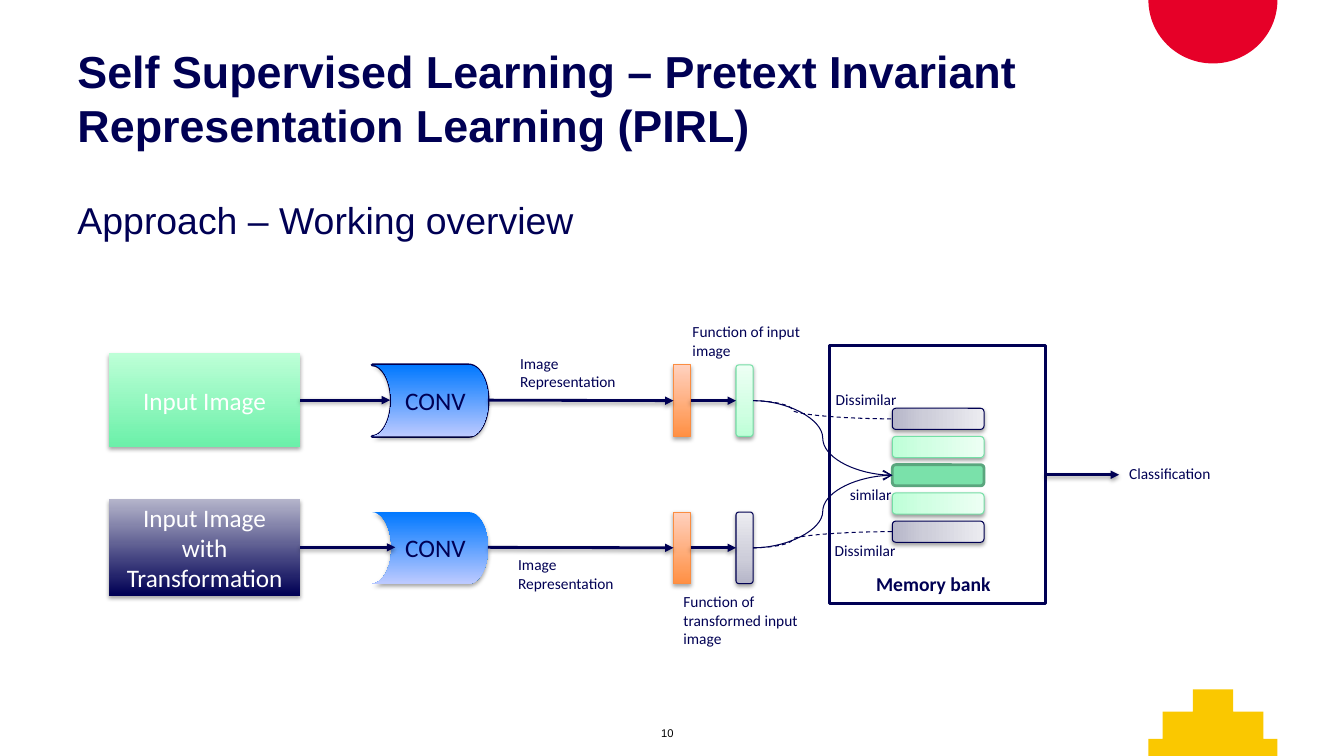
from copy import deepcopy
from math import cos, pi, sin

from pptx import Presentation
from pptx.dml.color import RGBColor
from pptx.enum.dml import MSO_LINE
from pptx.enum.shapes import MSO_CONNECTOR, MSO_SHAPE
from pptx.enum.text import MSO_ANCHOR, PP_ALIGN
from pptx.oxml.ns import qn
from pptx.oxml.xmlchemy import OxmlElement
from pptx.util import Inches, Pt

NAVY, WHITE, RED, YELLOW = "000054", "FFFFFF", "E60028", "FAC800"
BLUE_FADE = [(0, "0078FF"), (1, "BDCAFF")]
GREEN_FADE = [(0, "6BF0A9"), (1, "BDFFD7")]
NAVY_FADE = [(0, NAVY), (1, "B5B5CB")]
ORANGE_FADE = [(0, "FF9044"), (1, "FFD1BF")]
MINT_FADE = [(0, "BDFFD7"), (0.35, "D0FFE2"), (1, "EDFFF4")]
GREY_FADE = [(0, "B6B6C9"), (0.35, "CDCDD9"), (1, "ECECF1")]
MINT_EDGE, GREY_EDGE, ORANGE_EDGE = "75DFA6", "000052", "FB8D41"


def rgb(color):
    return RGBColor.from_string(color)


def child(parent, tag, **attributes):
    element = OxmlElement(tag)
    for key, value in attributes.items():
        element.set(key, str(value))
    parent.append(element)
    return element


def add_shadow(effects, alpha, dist):
    shadow = child(effects, "a:outerShdw", blurRad=Pt(3.1), dist=Pt(dist),
                   dir=90 * 60000, rotWithShape=0)
    color = child(shadow, "a:srgbClr", val="000000")
    child(color, "a:alpha", val=alpha * 1000)


class Diagram:
    def __init__(self, slide, font="Calibri", ink=NAVY):
        self.slide, self.font, self.ink = slide, font, ink

    def set_text(self, frame, text, size, color, bold=False, font=None, align=None):
        paragraph = frame.paragraphs[0]
        paragraph.text = text
        paragraph.alignment = align
        style = paragraph.font
        style.name, style.size, style.bold = font or self.font, Pt(size), bold
        style.color.rgb = rgb(color)

    def label(self, text, x, y, w, h, size=11, color=None, bold=False, font=None,
              anchor=MSO_ANCHOR.TOP, wrap=True):
        box = self.slide.shapes.add_textbox(Inches(x), Inches(y), Inches(w), Inches(h))
        box.text_frame.word_wrap = wrap
        box.text_frame.vertical_anchor = anchor
        self.set_text(box.text_frame, text, size, color or self.ink, bold, font)

    def block(self, kind, x, y, w, h, fill, edge=None, width=0.75, angle=90,
              shadow=None, text=None, rotation=0):
        """Preset shape; fill is a colour or a list of gradient stops,
        shadow is (opacity in percent, distance in points)."""
        shape = self.slide.shapes.add_shape(kind, Inches(x), Inches(y), Inches(w), Inches(h))
        shape.rotation = rotation
        if isinstance(fill, str):
            shape.fill.solid()
            shape.fill.fore_color.rgb = rgb(fill)
        else:
            self.fade(shape, fill, angle)
        if edge:
            shape.line.color.rgb = rgb(edge)
            shape.line.width = Pt(width)
        else:
            shape.line.fill.background()
        shape.shadow.inherit = False
        if shadow:
            add_shadow(shape._element.spPr.find(qn("a:effectLst")), *shadow)
        if text:
            shape.text_frame.vertical_anchor = MSO_ANCHOR.MIDDLE
            self.set_text(shape.text_frame, text, 18, WHITE, align=PP_ALIGN.CENTER)
        return shape

    def fade(self, shape, stops, angle):
        shape.fill.gradient()
        shape.fill.gradient_angle = angle
        stop_list = shape._element.spPr.find(".//" + qn("a:gsLst"))
        while len(stop_list) < len(stops):
            stop_list.append(deepcopy(stop_list[0]))
        for stop, (position, color) in zip(shape.fill.gradient_stops, stops):
            stop.position = position
            stop.color.rgb = rgb(color)

    def link(self, start, end, width=2, head="triangle", curve=None, dashed=False):
        """Connector between points or shapes (right side to left side);
        curve is the place of the bend as a share of the length."""
        ends = [(0, 0) if hasattr(e, "shape_id") else e for e in (start, end)]
        (x1, y1), (x2, y2) = ends
        kind = MSO_CONNECTOR.CURVE if curve else MSO_CONNECTOR.STRAIGHT
        line = self.slide.shapes.add_connector(
            kind, Inches(x1), Inches(y1), Inches(x2), Inches(y2))
        if hasattr(start, "shape_id"):
            line.begin_connect(start, 3)
        if hasattr(end, "shape_id"):
            line.end_connect(end, 1)
        line.line.color.rgb = rgb(self.ink)
        line.line.width = Pt(width)
        if dashed:
            line.line.dash_style = MSO_LINE.DASH
        properties = line._element.spPr
        if head:
            child(properties.find(qn("a:ln")), "a:tailEnd", type=head)
        effects = child(properties, "a:effectLst")
        if curve:
            bends = properties.find(qn("a:prstGeom")).find(qn("a:avLst"))
            child(bends, "a:gd", name="adj1", fmla=f"val {round(curve * 100000)}")
        else:
            add_shadow(effects, 38, 1.6)

    def outline(self, points, color):
        corners = [(Inches(x), Inches(y)) for x, y in points]
        builder = self.slide.shapes.build_freeform(*corners[0])
        builder.add_line_segments(corners[1:], close=True)
        shape = builder.convert_to_shape()
        shape.fill.solid()
        shape.fill.fore_color.rgb = rgb(color)
        shape.line.fill.background()
        shape.shadow.inherit = False


def main():
    deck = Presentation()
    deck.slide_width, deck.slide_height = Inches(13.33), Inches(7.5)
    d = Diagram(deck.slides.add_slide(deck.slide_layouts[6]))

    # Corner decorations, both centred on the same vertical axis
    axis = 12.03
    d.outline([(axis + 0.64 * cos(pi * i / 60), 0.63 * sin(pi * i / 60))
               for i in range(61)], RED)
    right_steps = [(0.2, 6.84), (0.2, 7.06), (0.5, 7.06), (0.5, 7.33),
                   (0.64, 7.33), (0.64, 7.5)]
    d.outline([(axis + x, y) for x, y in right_steps]
              + [(axis - x, y) for x, y in reversed(right_steps)], YELLOW)

    d.label("10", 6.46, 7.16, 0.34, 0.24, 8, "000000", font="Arial", wrap=False)
    d.label("Self Supervised Learning – Pretext Invariant Representation Learning (PIRL)",
            0.67, 0.16, 10.59, 1.62, 32, bold=True, font="Arial", anchor=MSO_ANCHOR.MIDDLE)
    d.label("Approach – Working overview", 0.67, 1.91, 10.59, 0.84, 26.7, font="Arial")

    # Memory bank
    bank_middle = 4.71
    bank = d.block(MSO_SHAPE.RECTANGLE, 8.23, bank_middle - 1.28, 2.14, 2.56, WHITE, NAVY, 2)
    soft, thin = (35, 1.8), (38, 1.6)
    grey = (GREY_FADE, GREY_EDGE, 0.75, thin)
    mint = (MINT_FADE, MINT_EDGE, 0.75, thin)
    match = ("7AE1AA", "5AA67E", 2, None)
    entries = [
        d.block(MSO_SHAPE.ROUNDED_RECTANGLE, 8.85, bank_middle - 0.1 + (i - 2) * 0.28,
                0.91, 0.21, fill, edge, width, angle=0, shadow=shadow)
        for i, (fill, edge, width, shadow) in enumerate([grey, mint, match, mint, grey])]

    # One row for the image and one for its transformed version
    rows = [
        (3.97, "Input Image", 0.93, GREEN_FADE, MINT_FADE, MINT_EDGE, 3.87, entries[0]),
        (5.43, "Input Image with Transformation", 0.96, NAVY_FADE, GREY_FADE, GREY_EDGE,
         3.92, entries[-1]),
    ]
    for middle, name, height, fade, code_fade, code_edge, conv_x, dissimilar in rows:
        top = middle - 0.35
        source = d.block(MSO_SHAPE.RECTANGLE, 1.08, middle - height / 2, 1.9, height,
                         fade, shadow=soft, text=name)
        if dissimilar is entries[0]:
            d.block(MSO_SHAPE.FLOWCHART_STORED_DATA, 3.69, top, 1.15, 0.71, WHITE, NAVY, 2,
                    rotation=180)
        d.block(MSO_SHAPE.FLOWCHART_STORED_DATA, 3.69, top, 1.15, 0.71, BLUE_FADE,
                shadow=soft, rotation=180)
        d.label("CONV", 3.92, middle - 0.2, 0.85, 0.4, 18)
        features = d.block(MSO_SHAPE.RECTANGLE, 6.68, top, 0.17, 0.71, ORANGE_FADE,
                           ORANGE_EDGE, shadow=soft)
        code = d.block(MSO_SHAPE.ROUNDED_RECTANGLE, 7.3, top, 0.17, 0.71, code_fade,
                       code_edge, shadow=thin)
        d.link(source, (conv_x, middle))
        d.link((4.84, middle), features)
        d.link(features, code)
        d.link(code, dissimilar, 0.75, None, curve=0.28, dashed=True)
        d.link(code, entries[2], 0.75, "arrow", curve=0.5)

    for text, x, y, w, h in [
        ("Dissimilar", 8.19, 3.82, 0.91, 0.29),
        ("Dissimilar", 8.18, 5.32, 0.91, 0.29),
        ("similar", 8.33, 4.76, 0.63, 0.29),
        ("Function of input image", 6.77, 3.15, 1.4, 0.47),
        ("Function of transformed input image", 6.68, 5.83, 1.4, 0.66),
        ("Image Representation", 5.06, 3.46, 1.4, 0.47),
        ("Image Representation", 5.04, 5.46, 1.4, 0.47),
        ("Classification", 11.1, 4.56, 1.03, 0.29),
    ]:
        d.label(text, x, y, w, h)
    d.label("Memory bank", 8.59, 5.62, 1.42, 0.34, 14, bold=True)
    d.link(bank, (11.1, bank_middle))

    deck.save("out.pptx")


if __name__ == "__main__":
    main()
